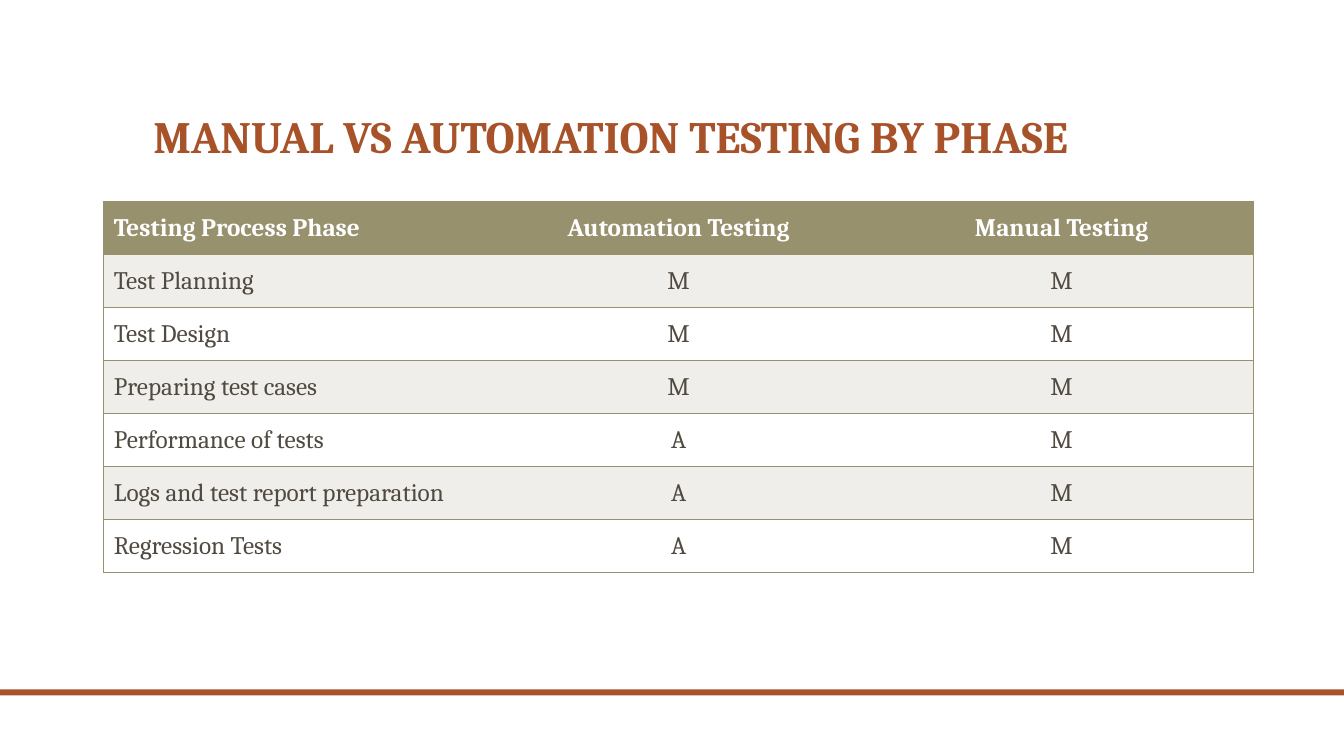
from typing import NamedTuple

from lxml import etree
from pptx import Presentation
from pptx import util as u
from pptx.dml.color import RGBColor
from pptx.enum import shapes, text
from pptx.oxml import ns

FONT = "Cambria"
COLORS = {"rust": "A85229", "olive": "98916E", "band": "EFEEEB",
          "white": "FFFFFF", "ink": "514A40"}


class Phase(NamedTuple):
    name: str
    automation: str
    manual: str


HEADER = Phase("Testing Process Phase", "Automation Testing", "Manual Testing")
PHASES = [
    Phase("Test Planning", "M", "M"),
    Phase("Test Design", "M", "M"),
    Phase("Preparing test cases", "M", "M"),
    Phase("Performance of tests", "A", "M"),
    Phase("Logs and test report preparation", "A", "M"),
    Phase("Regression Tests", "A", "M"),
]


def rgb(name: str) -> RGBColor:
    return RGBColor.from_string(COLORS[name])


def write(frame, words: str, size: float, color: str, bold: bool, align) -> None:
    para = frame.paragraphs[0]
    para.alignment = align
    span = para.add_run()
    span.text = words
    span.font.name = FONT
    span.font.size = u.Pt(size)
    span.font.bold = bold
    span.font.color.rgb = rgb(color)


def add_border(cell, side: str, visible: bool) -> None:
    properties = cell._tc.get_or_add_tcPr()
    line = etree.SubElement(properties, ns.qn(f"a:ln{side}"), w=str(u.Pt(1)))
    if visible:
        fill = etree.SubElement(line, ns.qn("a:solidFill"))
        etree.SubElement(fill, ns.qn("a:srgbClr"), val=COLORS["olive"])
    else:
        etree.SubElement(line, ns.qn("a:noFill"))


def add_title(page) -> None:
    title = page.shapes.title
    title.left, title.top = u.Inches(1.42), u.Inches(0.42)
    title.width, title.height = u.Inches(10.5), u.Inches(1.25)
    frame = title.text_frame
    frame.word_wrap = True
    frame.auto_size = text.MSO_AUTO_SIZE.NONE
    frame.vertical_anchor = text.MSO_ANCHOR.BOTTOM
    write(frame, "MANUAL VS AUTOMATION TESTING BY PHASE", 32, "rust", True,
          text.PP_ALIGN.LEFT)
    frame.paragraphs[0].line_spacing = 0.9


def add_phase_table(page) -> None:
    rows = [HEADER, *PHASES]
    last_column = len(HEADER) - 1
    table = page.shapes.add_table(
        len(rows), len(HEADER), u.Inches(1.03), u.Inches(2),
        u.Inches(11.4), u.Inches(3.68)).table
    for r, phase in enumerate(rows):
        is_header = r == 0
        fill = "olive" if is_header else "band" if r % 2 else "white"
        for c, words in enumerate(phase):
            cell = table.cell(r, c)
            # Only the outer vertical edges are ruled
            borders = {"L": c == 0, "R": c == last_column, "T": True, "B": True}
            for side, visible in borders.items():
                add_border(cell, side, visible)
            cell.fill.solid()
            cell.fill.fore_color.rgb = rgb(fill)
            cell.vertical_anchor = text.MSO_ANCHOR.MIDDLE
            write(cell.text_frame, words, 18, "white" if is_header else "ink",
                  is_header, text.PP_ALIGN.CENTER if c else text.PP_ALIGN.LEFT)


def add_footer_bar(page, width: int) -> None:
    bar = page.shapes.add_shape(shapes.MSO_SHAPE.RECTANGLE, 0, u.Inches(6.84),
                                width, u.Inches(0.06))
    bar.shadow.inherit = False
    bar.fill.solid()
    bar.fill.fore_color.rgb = rgb("rust")
    bar.line.fill.background()


def main() -> None:
    deck = Presentation()
    deck.slide_width, deck.slide_height = u.Inches(13.33), u.Inches(7.5)
    page = deck.slides.add_slide(deck.slide_layouts.get_by_name("Title Only"))
    # Footer rule, heading, comparison table
    add_footer_bar(page, deck.slide_width)
    add_title(page)
    add_phase_table(page)
    deck.save("out.pptx")


if __name__ == "__main__":
    main()
